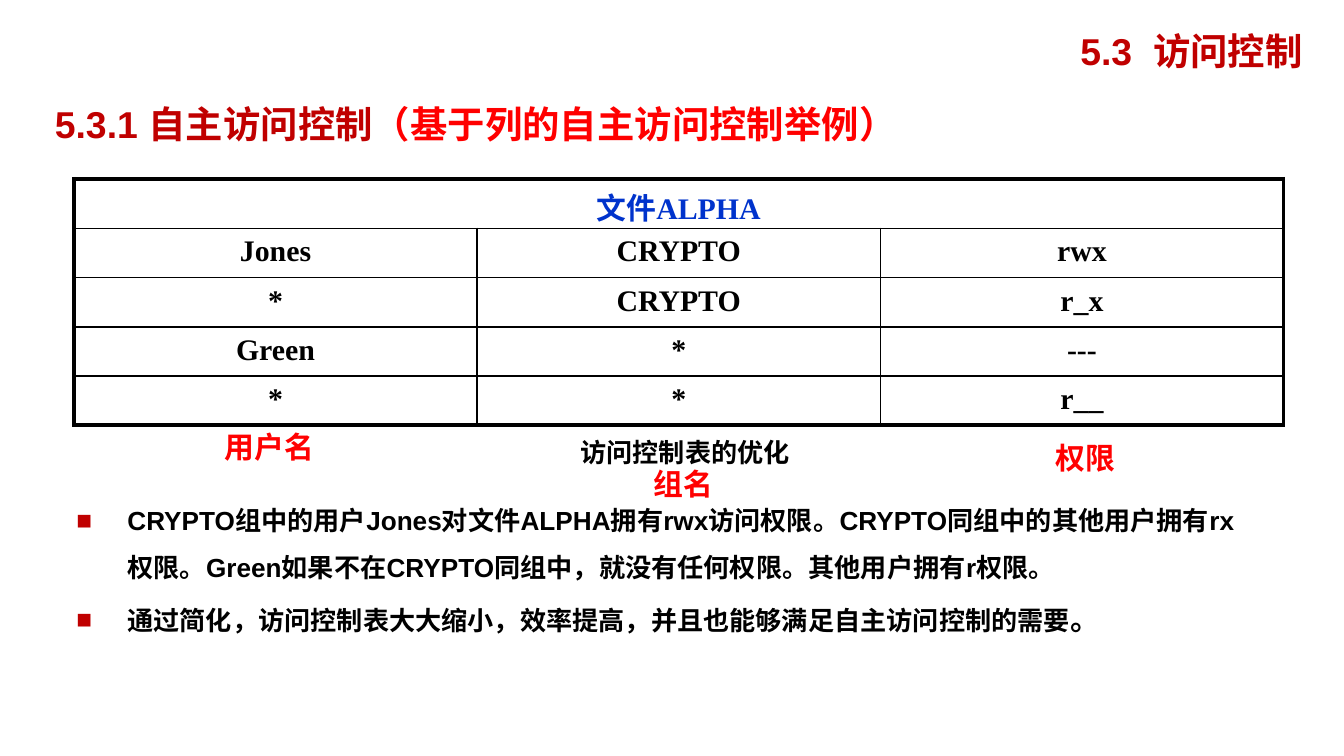
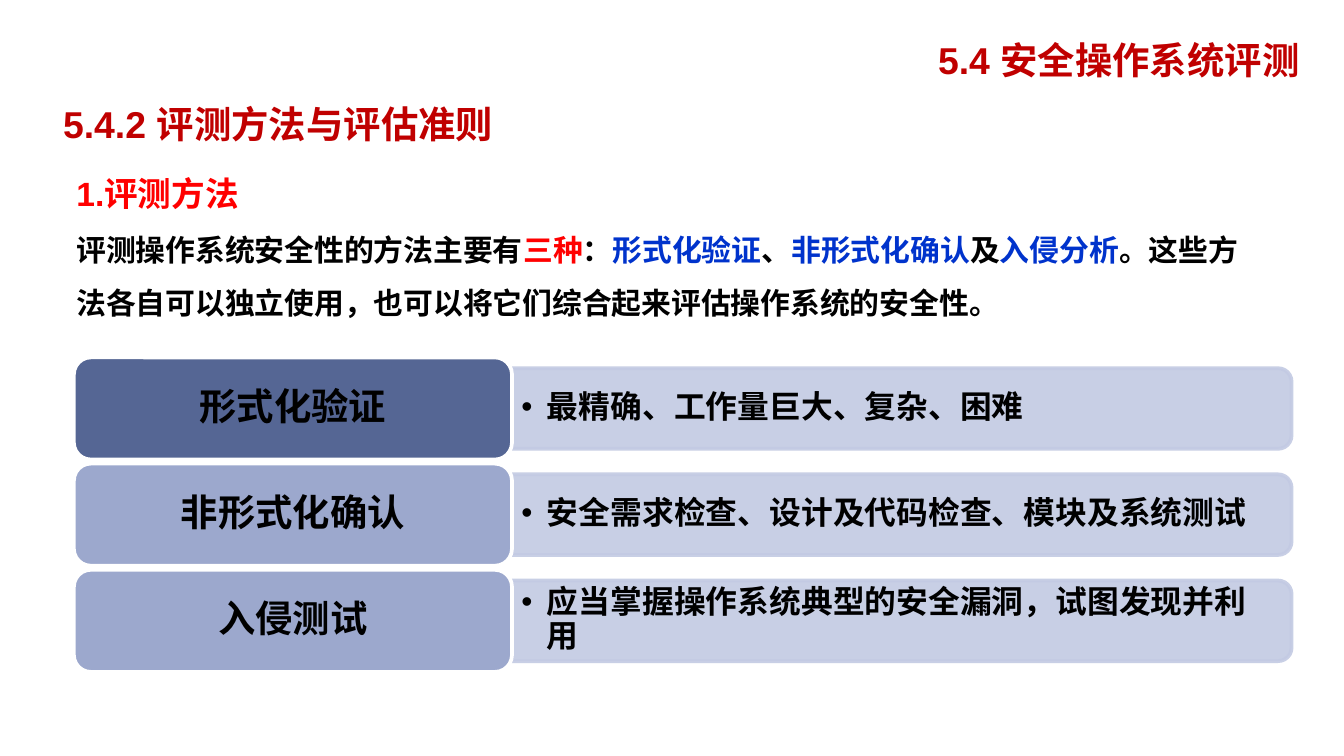
from pptx import Presentation
from pptx.dml.color import RGBColor as RGB
from pptx.enum.shapes import MSO_SHAPE as SHAPE
from pptx.enum.text import MSO_ANCHOR as ANCHOR, PP_ALIGN as ALIGN
from pptx.oxml.ns import qn
from pptx.util import Inches, Pt
from lxml.etree import SubElement as Sub

HUE = {
    "black": "000000", "dark": "C00000", "red": "FF0000", "note": "FF0101",
    "blue": "0033CC", "white": "FFFFFF", "navy": "556694", "steel": "9CA8CD",
    "pale": "C3CAE3",
}


def rgb(hue):
    return RGB.from_string(HUE[hue])


def style(run, size, hue="black", face="Arial"):
    font = run.font
    font.size, font.bold, font.name = Pt(size), True, face
    font.color.rgb = rgb(hue)


def bullet(para, mark, indent, hue=None):
    props = para._p.get_or_add_pPr()
    props.set("marL", str(Inches(indent)))
    props.set("indent", str(-Inches(indent)))
    if hue:
        Sub(Sub(props, qn("a:buClr")), qn("a:srgbClr"), val=HUE[hue])
    Sub(props, qn("a:buFont"), typeface="Arial")
    Sub(props, qn("a:buChar"), char=mark)


def write(para, parts):
    for text, size, hue in parts:
        run = para.add_run()
        run.text = text
        style(run, size, hue)


def pad(frame, side, edge):
    frame.margin_left = frame.margin_right = Inches(side)
    frame.margin_top = frame.margin_bottom = Inches(edge)


def add_box(slide, at, paras, align=ALIGN.LEFT, space=None, wrap=True):
    box = slide.shapes.add_textbox(*map(Inches, at))
    frame = box.text_frame
    frame.word_wrap = wrap
    for i, parts in enumerate(paras):
        para = frame.add_paragraph() if i else frame.paragraphs[0]
        para.alignment = align
        if space:
            para.line_spacing = space
        write(para, parts)
    return frame


def add_title(slide, at, text, align=ALIGN.CENTER, extra=""):
    parts = [(text, 20, "dark")]
    if extra:
        parts.append((extra, 20, "red"))
    add_box(slide, at, [parts], align)


def add_note(slide, left, top, text):
    frame = add_box(slide, (left, top, 3.31, 0.39), [[(text, 16, "note")]],
                    ALIGN.CENTER, wrap=False)
    frame.vertical_anchor = ANCHOR.MIDDLE


def add_edges(cell, widths):
    props = cell._tc.get_or_add_tcPr()
    for i, (side, width) in enumerate(zip("LRTB", widths)):
        line = Sub(props, qn("a:ln" + side), w=str(Pt(width)))
        Sub(Sub(line, qn("a:solidFill")), qn("a:srgbClr"), val=HUE["black"])
        props.insert(i, line)


def add_grid(slide, at, head, rows):
    count, wide = len(rows) + 1, len(rows[0])
    table = slide.shapes.add_table(count, wide, *map(Inches, at)).table
    table.first_row = table.horz_banding = False
    data = [[head] + [""] * (wide - 1)] + rows
    for r, texts in enumerate(data):
        for c, text in enumerate(texts):
            cell = table.cell(r, c)
            cell.fill.background()
            if r == 0:
                cell.margin_bottom = 0
            outer = (c == 0, c == wide - 1 or r == 0, r == 0, r == count - 1)
            add_edges(cell, [2.25 if edge else 1 for edge in outer])
            if text:
                para = cell.text_frame.paragraphs[0]
                para.text = text
                para.alignment = ALIGN.CENTER
                style(para.runs[0], 16, "black" if r else "blue",
                      "Times New Roman")
    table.cell(0, 0).merge(table.cell(0, wide - 1))


def add_shape(slide, kind, at, fill, edge):
    shape = slide.shapes.add_shape(kind, *map(Inches, at))
    shape.shadow.inherit = False
    shape.fill.solid()
    shape.fill.fore_color.rgb = rgb(fill)
    shape.line.color.rgb = rgb(edge)
    shape.line.width = Pt(2)
    return shape


def add_method(slide, top, name, text, hue):
    long, high, left = 5.8, 0.6, 3.81
    mid = top + 0.38
    at = (left + (long - high) / 2, mid - long / 2, high, long)
    bar = add_shape(slide, SHAPE.ROUND_2_SAME_RECTANGLE, at, "pale", "pale")
    bar.rotation = 90
    for color in bar._element.spPr.iter(qn("a:srgbClr")):
        Sub(color, qn("a:alpha"), val="90000")

    frame = add_box(slide, (left, mid - 0.28, 5.77, 0.55),
                    [[(text, 17, "black")]], space=0.9)
    frame.vertical_anchor = ANCHOR.MIDDLE
    pad(frame, 0.07, 0.04)
    bullet(frame.paragraphs[0], "•", 0.19)

    label = add_shape(slide, SHAPE.ROUNDED_RECTANGLE, (0.55, top, 3.26, 0.76),
                      hue, "white")
    frame = label.text_frame
    frame.word_wrap = True
    frame.vertical_anchor = ANCHOR.MIDDLE
    pad(frame, 0.11, 0.07)
    para = frame.paragraphs[0]
    para.alignment, para.line_spacing = ALIGN.CENTER, 0.9
    write(para, [(name, 20, "black")])


def add_access(slide):
    add_grid(slide, (0.55, 1.33, 9, 1.83), "文件ALPHA", [
        ["Jones", "CRYPTO", "rwx"],
        ["*", "CRYPTO", "r_x"],
        ["Green", "*", "---"],
        ["*", "*", "r__"],
    ])
    frame = add_box(slide, (0.47, 3.59, 9, 1.17), [
        [("CRYPTO组中的用户Jones对文件ALPHA拥有rwx访问权限。"
          "CRYPTO同组中的其他用户拥有rx权限。"
          "Green如果不在CRYPTO同组中，就没有任何权限。"
          "其他用户拥有r权限。", 14, "black")],
        [("通过简化，访问控制表大大缩小，效率提高，"
          "并且也能够满足自主访问控制的需要", 14, "black"),
         ("。", 16, "black")],
    ], space=1.5)
    for para in frame.paragraphs:
        bullet(para, "■", 0.38, "dark")
    add_title(slide, (7.89, 0.16, 1.95, 0.39), "5.3  访问控制")
    add_title(slide, (0.31, 0.7, 8.78, 0.39), "5.3.1 自主访问控制",
              ALIGN.LEFT, "（基于列的自主访问控制举例）")
    add_box(slide, (4.22, 3.2, 1.8, 0.34),
            [[("访问控制表的优化", 14, "black")]])
    for left, top, text in ((0.35, 3.13, "用户名"), (3.43, 3.4, "组名"),
                            (6.42, 3.21, "权限")):
        add_note(slide, left, top, text)


def add_review(slide):
    body = [
        ("评测操作系统安全性的方法主要有", "black"), ("三种", "red"),
        ("：", "black"), ("形式化验证", "blue"), ("、", "black"),
        ("非形式化确认", "blue"), ("及", "black"), ("入侵分析", "blue"),
        ("。这些方法各自可以独立使用，"
         "也可以将它们综合起来评估操作系统的安全性。", "black"),
    ]
    add_box(slide, (0.47, 1.09, 9, 1.33), [
        [("1.评测方法", 18, "red")],
        [(text, 16, hue) for text, hue in body],
    ], space=1.5)
    methods = [
        ("形式化验证", "最精确、工作量巨大、复杂、困难", "navy"),
        ("非形式化确认", "安全需求检查、设计及代码检查、模块及系统测试", "steel"),
        ("入侵测试", "应当掌握操作系统典型的安全漏洞，试图发现并利用", "steel"),
    ]
    for i, (name, text, hue) in enumerate(methods):
        add_method(slide, 2.66 + 0.79 * i, name, text, hue)
    add_title(slide, (6.8, 0.23, 3.05, 0.39), "5.4 安全操作系统评测")
    add_title(slide, (0.31, 0.7, 3.52, 0.39), "5.4.2 评测方法与评估准则")


def main():
    deck = Presentation()
    deck.slide_width = Inches(10)
    deck.slide_height = deck.slide_width * 9 // 16
    for build in (add_access, add_review):
        build(deck.slides.add_slide(deck.slide_layouts[6]))
    deck.save("out.pptx")


if __name__ == "__main__":
    main()
